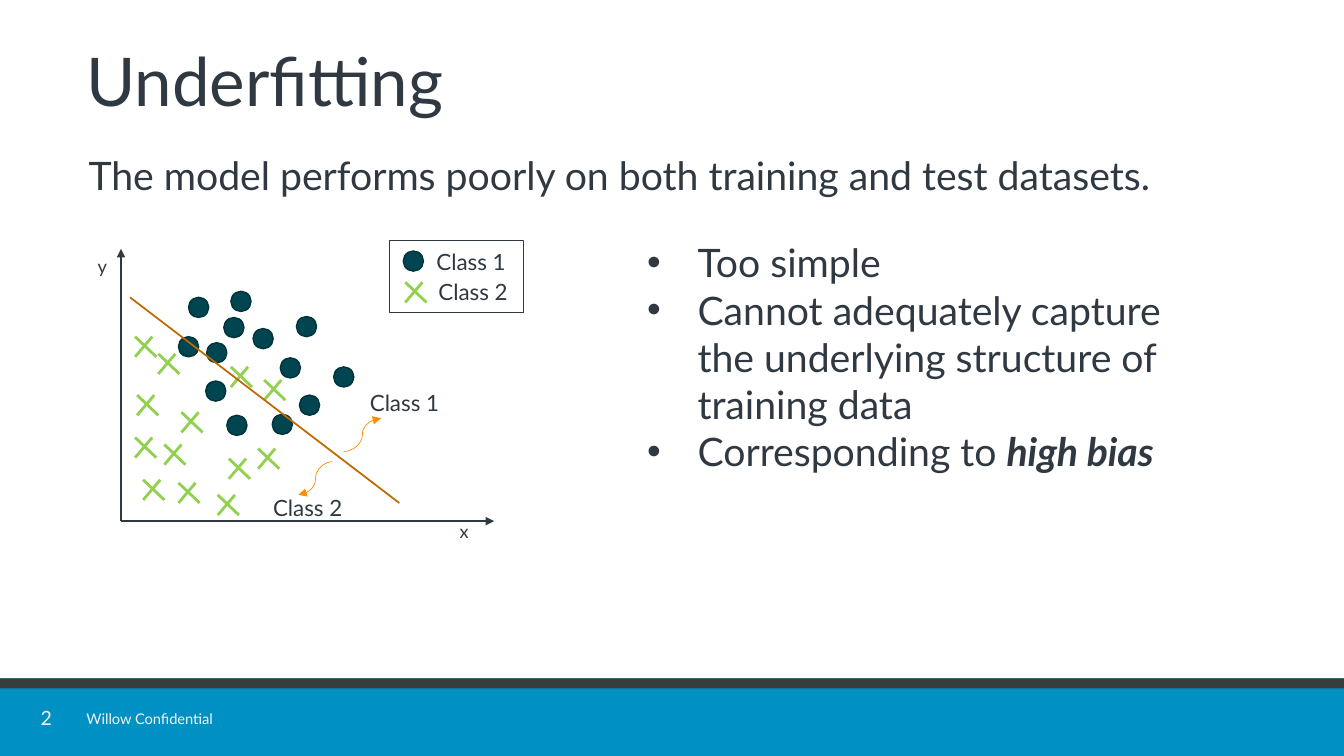
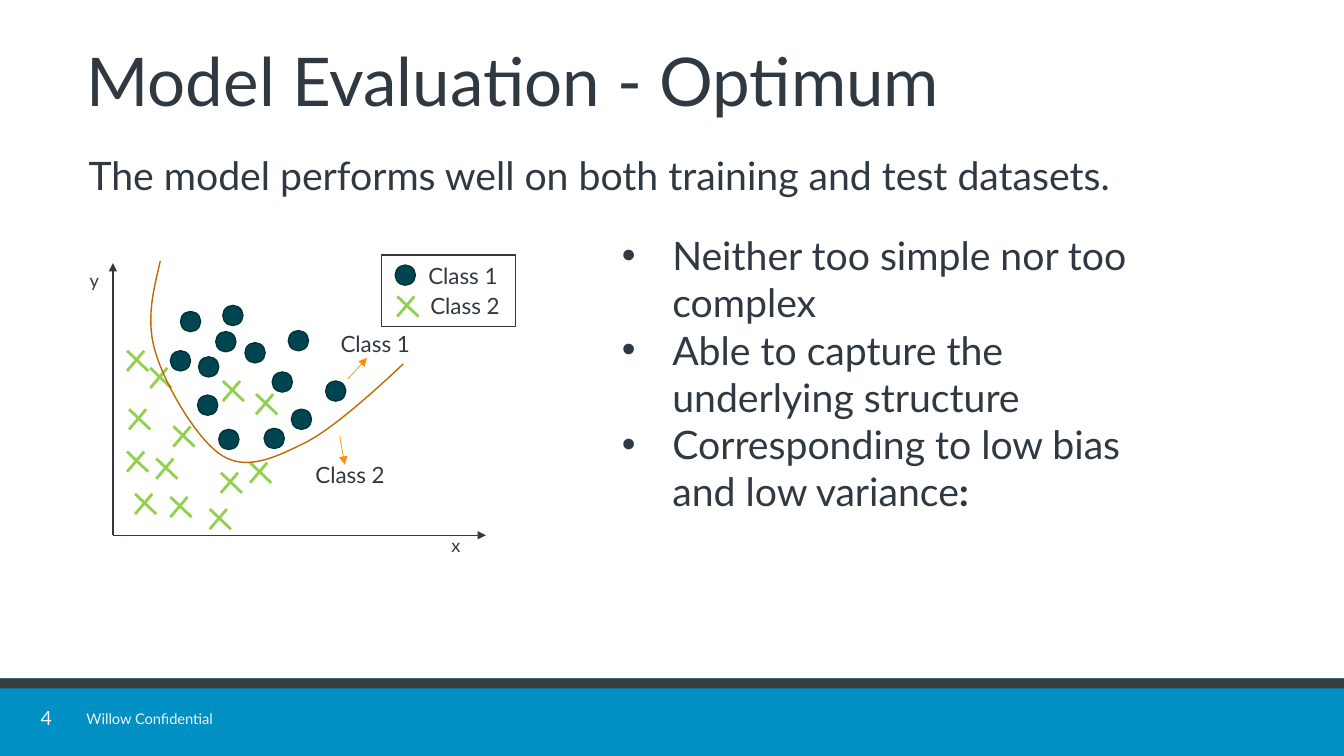
import pptx
import pptx.util
import pptx.dml.color
import pptx.enum.shapes
import pptx.enum.text
import pptx.oxml.ns
from lxml import etree

RGB = pptx.dml.color.RGBColor
SHAPE = pptx.enum.shapes.MSO_SHAPE
LINK = pptx.enum.shapes.MSO_CONNECTOR
ALIGN = pptx.enum.text.PP_ALIGN
ANCHOR = pptx.enum.text.MSO_ANCHOR
Inches, Pt, qn = pptx.util.Inches, pptx.util.Pt, pptx.oxml.ns.qn

# Shared style
FONT = "Lato"
INK = RGB(0x30, 0x39, 0x42)
PALE = RGB(0xF2, 0xF2, 0xF2)
BLUE = RGB(0x00, 0x90, 0xC3)
CHARCOAL = RGB(0x38, 0x3D, 0x3B)
TEAL = RGB(0x00, 0x45, 0x4F)
TEAL_DARK = RGB(0x00, 0x33, 0x3A)
GREEN = RGB(0x92, 0xD0, 0x50)
BROWN = RGB(0xBF, 0x6A, 0x00)
ORANGE = RGB(0xFF, 0x8E, 0x00)
WIDTH, HEIGHT = 13.33, 7.5
BAND_TOP = 6.73
FOOTER = "Willow Confidential"

# Scatter plot: marker corners as (right of origin, above origin)
AXIS_X, AXIS_Y = 3.7, 2.7
DOT = 0.2
DOTS = [(0.67, 2.22), (0.57, 1.83), (0.85, 1.77), (0.84, 1.39), (1.05, 1.05),
        (1.5, 1.06), (1.77, 1.25), (1.09, 2.28), (1.02, 2.02), (1.31, 1.91),
        (1.58, 1.62), (1.74, 2.03), (2.11, 1.53)]
CROSSES = [(0.22, 0.41), (0.57, 0.38), (0.14, 0.83), (0.43, 0.76), (0.96, 0.26),
           (1.07, 0.62), (0.16, 1.25), (0.6, 1.08), (0.37, 1.66), (1.09, 1.53),
           (1.42, 1.4), (1.36, 0.72), (0.14, 1.83)]
LEGEND = (2.66, 2.78)

# Slide content; a boundary is one straight line or a chain of Bezier points
SLIDES = [
    dict(number="2", title="Underfitting",
         lead="The model performs poorly on both training and test datasets.",
         origin=(1.2, 5.17),
         boundary=[(1.29, 2.95), (3.96, 4.99)],
         arrow_kind=LINK.CURVE,
         arrows=[((3.41, 4.48), (3.78, 4.15)), ((3.3, 4.58), (2.96, 4.91))],
         regions=[("Class 1", 3.57, 3.81), ("Class 2", 2.61, 4.85)],
         box=(6.32, 2.32, 5.59, 2.46),
         bullets=[[("Too simple", "")],
                  [("Cannot adequately capture the underlying structure of training data", "")],
                  [("Corresponding to ", ""), ("high bias", "bi")]]),
    dict(number="4", title="Model Evaluation - Optimum",
         lead="The model performs well on both training and test datasets.",
         origin=(1.12, 5.31),
         boundary=[(1.59, 2.59), (1.52, 2.89), (1.44, 3.19), (1.55, 3.52),
                   (1.65, 3.84), (1.97, 4.39), (2.22, 4.53),
                   (2.47, 4.67), (2.75, 4.53), (3.05, 4.38),
                   (3.35, 4.22), (3.82, 3.78), (4, 3.61)],
         arrow_kind=LINK.STRAIGHT,
         arrows=[((3.45, 3.76), (3.64, 3.55)), ((3.37, 4.33), (3.42, 4.61))],
         regions=[("Class 1", 3.28, 3.23), ("Class 2", 3.03, 4.53)],
         box=(6.07, 2.25, 5.76, 2.93),
         bullets=[[("Neither too simple nor too complex", "")],
                  [("Able to capture the underlying structure", "")],
                  [("Corresponding to low bias and low variance", ""), (":", "b")]]),
]


def add_text(s, box, paragraphs, size, color=INK, bullet=False, anchor=ANCHOR.TOP,
             align=ALIGN.LEFT, spacing=None, before=None, inset=True):
    tf = s.shapes.add_textbox(*map(Inches, box)).text_frame
    tf.word_wrap = True
    tf.vertical_anchor = anchor
    if not inset:
        tf.margin_left = tf.margin_right = tf.margin_top = tf.margin_bottom = 0
    for i, runs in enumerate(paragraphs):
        p = tf.add_paragraph() if i else tf.paragraphs[0]
        p.alignment = align
        if spacing:
            p.line_spacing = spacing
        if before:
            p.space_before = Pt(before)
        if bullet:
            pPr = p._p.get_or_add_pPr()
            pPr.set("marL", str(Inches(0.5)))
            pPr.set("indent", str(-Inches(0.5)))
            etree.SubElement(pPr, qn("a:buFont")).set("typeface", "Arial")
            etree.SubElement(pPr, qn("a:buChar")).set("char", "•")
        for text, style in runs:
            r = p.add_run()
            r.text = text
            r.font.name, r.font.size = FONT, Pt(size)
            r.font.color.rgb = color
            if "b" in style:
                r.font.bold = True
            if "i" in style:
                r.font.italic = True


def add_label(s, text, x, y, size=16, width=1.0):
    add_text(s, (x, y, width, 0.37), [[(text, "")]], size)


def add_block(s, kind, box, fill=None, line=None, weight=1):
    sp = s.shapes.add_shape(kind, *map(Inches, box))
    sp.shadow.inherit = False
    if fill is None:
        sp.fill.background()
    else:
        sp.fill.solid()
        sp.fill.fore_color.rgb = fill
    if line is None:
        sp.line.fill.background()
    else:
        sp.line.color.rgb = line
        sp.line.width = Pt(weight)


def add_line(s, start, end, color, weight, arrow=False, kind=LINK.STRAIGHT):
    c = s.shapes.add_connector(kind, *map(Inches, (*start, *end)))
    c.line.color.rgb = color
    c.line.width = Pt(weight)
    spPr = c.element.spPr
    if arrow:
        etree.SubElement(spPr.find(qn("a:ln")), qn("a:tailEnd")).set("type", "triangle")
    etree.SubElement(spPr, qn("a:effectLst"))


def add_dot(s, x, y):
    add_block(s, SHAPE.OVAL, (x, y, DOT, DOT), TEAL, TEAL_DARK)


def add_cross(s, x, y):
    add_line(s, (x, y), (x + 0.21, y + 0.2), GREEN, 2)
    add_line(s, (x + 0.17, y), (x, y + 0.2), GREEN, 2)


def add_curve(s, points, color, weight, steps=16):
    dense = [points[0]]
    for i in range(0, len(points) - 1, 3):
        a, b, c, d = points[i:i + 4]
        for t in (k / steps for k in range(1, steps + 1)):
            u = 1 - t
            dense.append(tuple(u**3 * a[j] + 3 * u * u * t * b[j] + 3 * u * t * t * c[j]
                               + t**3 * d[j] for j in (0, 1)))
    emu = [(Inches(x), Inches(y)) for x, y in dense]
    builder = s.shapes.build_freeform(*emu[0])
    builder.add_line_segments(emu[1:], close=False)
    sp = builder.convert_to_shape()
    sp.shadow.inherit = False
    sp.fill.background()
    sp.line.color.rgb = color
    sp.line.width = Pt(weight)


def add_frame(s, number, title, lead):
    # Bottom bands and footer
    add_block(s, SHAPE.RECTANGLE, (0, BAND_TOP, WIDTH, HEIGHT - BAND_TOP), BLUE)
    add_block(s, SHAPE.RECTANGLE, (0, BAND_TOP, WIDTH, 0.1), CHARCOAL)
    add_text(s, (0.33, 7.02, 0.26, 0.23), [[(number, "")]], 14, PALE,
             anchor=ANCHOR.MIDDLE, align=ALIGN.CENTER, spacing=0.9, inset=False)
    add_text(s, (0.76, 6.99, 2, 0.28), [[(FOOTER, "")]], 10.5, PALE)
    # Title and lead sentence
    add_text(s, (0.76, 0.32, 11.91, 1.08), [[(title, "")]], 48,
             anchor=ANCHOR.MIDDLE, spacing=0.8)
    add_text(s, (0.78, 1.45, 11.9, 0.7), [[(lead, "")]], 28, before=8)


def add_plot(s, origin, boundary, arrow_kind, arrows, regions):
    ox, oy = origin
    # Axes
    add_line(s, origin, (ox + AXIS_X, oy), INK, 1, arrow=True)
    add_line(s, origin, (ox, oy - AXIS_Y), INK, 1, arrow=True)
    add_label(s, "x", ox + 3.26, oy - 0.06, 13, 0.33)
    add_label(s, "y", ox - 0.33, oy - 2.69, 13, 0.33)
    # Data points
    for add_marker, spots in ((add_dot, DOTS), (add_cross, CROSSES)):
        for dx, up in spots:
            add_marker(s, ox + dx, oy - up)
    # Decision boundary
    if len(boundary) == 2:
        add_line(s, *boundary, BROWN, 1.25)
    else:
        add_curve(s, boundary, BROWN, 1)
    for start, end in arrows:
        add_line(s, start, end, ORANGE, 0.5, arrow=True, kind=arrow_kind)
    for text, x, y in regions:
        add_label(s, text, x, y)
    # Legend
    lx, ly = ox + LEGEND[0], oy - LEGEND[1]
    add_block(s, SHAPE.RECTANGLE, (lx, ly, 1.33, 0.71), line=INK, weight=0.75)
    add_dot(s, lx + 0.14, ly + 0.1)
    add_cross(s, lx + 0.16, ly + 0.41)
    add_label(s, "Class 1", lx + 0.37, ly + 0.02)
    add_label(s, "Class 2", lx + 0.39, ly + 0.32)


def main():
    prs = pptx.Presentation()
    prs.slide_width, prs.slide_height = Inches(WIDTH), Inches(HEIGHT)
    for d in SLIDES:
        s = prs.slides.add_slide(prs.slide_layouts[6])
        add_frame(s, d["number"], d["title"], d["lead"])
        add_plot(s, d["origin"], d["boundary"], d["arrow_kind"], d["arrows"], d["regions"])
        add_text(s, d["box"], d["bullets"], 28, bullet=True)
    prs.save("out.pptx")


if __name__ == "__main__":
    main()
